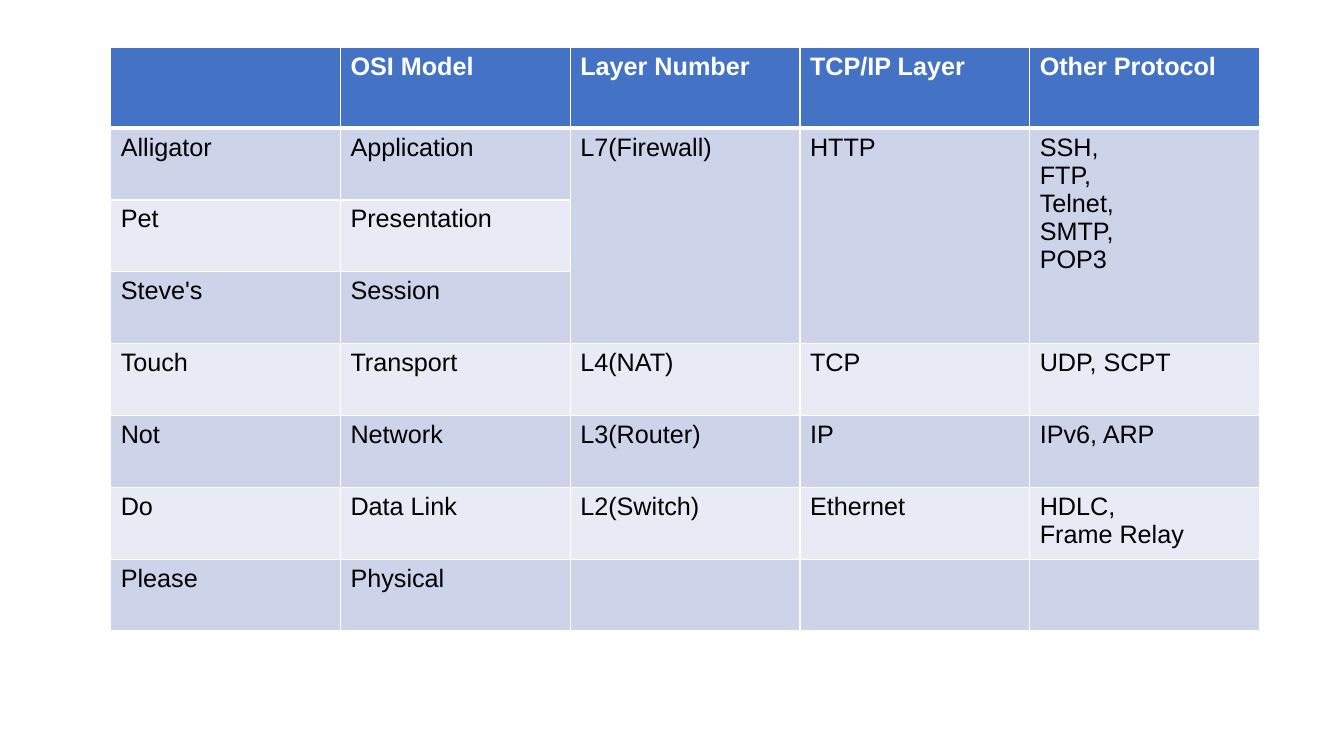
from lxml import etree
from pptx import Presentation
from pptx.dml.color import RGBColor
from pptx.oxml.ns import qn
from pptx.util import Cm, Pt

# Content: a tuple holds the lines of one cell
HEADINGS = ["", "OSI Model", "Layer Number", "TCP/IP Layer", "Other Protocol"]
LAYERS = [
    ["Alligator", "Application", "L7(Firewall)", "HTTP",
     ("SSH,", "FTP,", "Telnet,", "SMTP,", "POP3")],
    ["Pet", "Presentation", "", "", ""],
    ["Steve's", "Session", "", "", ""],
    ["Touch", "Transport", "L4(NAT)", "TCP", "UDP, SCPT"],
    ["Not", "Network", "L3(Router)", "IP", "IPv6, ARP"],
    ["Do", "Data Link", "L2(Switch)", "Ethernet", ("HDLC,", "Frame Relay")],
    ["Please", "Physical", "", "", ""],
]
MERGED_ROWS = (1, 3)
MERGED_COLUMNS = (2, 3, 4)

COLORS = {
    "header": "4472C4",
    "odd": "CDD4EA",
    "even": "E8EBF5",
    "border": "FFFFFF",
    "heading_text": "FFFFFF",
    "text": "000000",
}
FONT, FONT_SIZE = "Arial", Pt(18)
LEFT, TOP = Cm(2.79), Cm(1.2)
COLUMN_WIDTH = Cm(5.79)
HEADER_HEIGHT, LAYER_HEIGHT = Cm(2.03), Cm(1.81)
THIN, THICK = Pt(1), Pt(3)


def set_borders(cell, top, bottom):
    """Draw the four cell edges, placed ahead of the cell fill."""
    properties = cell._tc.get_or_add_tcPr()
    edges = {"a:lnL": THIN, "a:lnR": THIN, "a:lnT": top, "a:lnB": bottom}
    for index, (tag, width) in enumerate(edges.items()):
        line = etree.Element(qn(tag), w=str(width))
        fill = etree.SubElement(line, qn("a:solidFill"))
        etree.SubElement(fill, qn("a:srgbClr"), val=COLORS["border"])
        properties.insert(index, line)


def fill_cell(cell, content, row):
    is_header = row == 0
    band = "header" if is_header else "odd" if row % 2 else "even"
    lines = (content,) if isinstance(content, str) else content
    cell.text = "\n".join(lines)
    for paragraph in cell.text_frame.paragraphs:
        font = paragraph.font
        font.name, font.size, font.bold = FONT, FONT_SIZE, is_header
        font.color.rgb = RGBColor.from_string(
            COLORS["heading_text" if is_header else "text"])
    cell.fill.solid()
    cell.fill.fore_color.rgb = RGBColor.from_string(COLORS[band])
    set_borders(cell, THICK if row == 1 else THIN, THICK if is_header else THIN)


def main():
    prs = Presentation()
    prs.slide_width, prs.slide_height = Cm(33.87), Cm(19.05)
    slide = prs.slides.add_slide(prs.slide_layouts[6])

    # Table grid
    rows = [HEADINGS] + LAYERS
    heights = [HEADER_HEIGHT] + [LAYER_HEIGHT] * len(LAYERS)
    osi_table = slide.shapes.add_table(
        len(rows), len(HEADINGS), LEFT, TOP,
        COLUMN_WIDTH * len(HEADINGS), sum(heights)).table
    for column in osi_table.columns:
        column.width = COLUMN_WIDTH
    for table_row, height in zip(osi_table.rows, heights):
        table_row.height = height

    # Cells
    for row, contents in enumerate(rows):
        for column, content in enumerate(contents):
            fill_cell(osi_table.cell(row, column), content, row)

    # Upper three layers share their protocols
    first, last = MERGED_ROWS
    for column in MERGED_COLUMNS:
        osi_table.cell(first, column).merge(osi_table.cell(last, column))

    prs.save("out.pptx")


if __name__ == "__main__":
    main()
